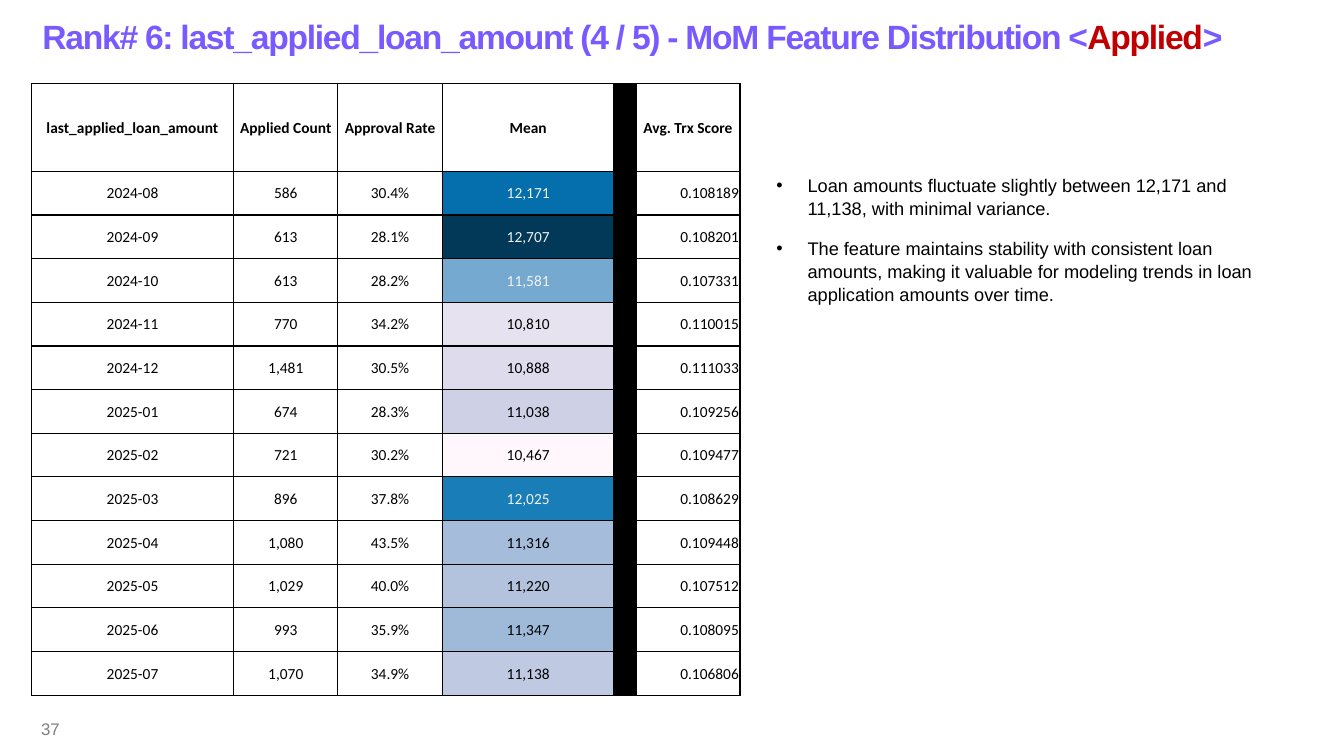
from lxml import etree
from pptx import Presentation
from pptx import util as u
from pptx.dml.color import RGBColor
from pptx.enum import text
from pptx.oxml.ns import qn

COLORS = {"purple": "785AFF", "red": "C00000", "black": "000000",
          "white": "FFFFFF", "pale": "F1F1F1", "grey": "808080"}
TITLE = [("Rank# 6: last_applied_loan_amount (4 / 5) - MoM Feature Distribution <", "purple"),
         ("Applied", "red"), (">", "purple")]
BULLETS = [
    "Loan amounts fluctuate slightly between 12,171 and 11,138, with minimal variance.",
    "The feature maintains stability with consistent loan amounts, making it valuable "
    "for modeling trends in loan application amounts over time.",
]
PAGE = "37"
HEADER = ("last_applied_loan_amount", "Applied Count", "Approval Rate", "Mean", "", "Avg. Trx Score")
MONTHS = [
    ("2024-08", "586", "30.4%", "12,171", "", "0.108189"),
    ("2024-09", "613", "28.1%", "12,707", "", "0.108201"),
    ("2024-10", "613", "28.2%", "11,581", "", "0.107331"),
    ("2024-11", "770", "34.2%", "10,810", "", "0.110015"),
    ("2024-12", "1,481", "30.5%", "10,888", "", "0.111033"),
    ("2025-01", "674", "28.3%", "11,038", "", "0.109256"),
    ("2025-02", "721", "30.2%", "10,467", "", "0.109477"),
    ("2025-03", "896", "37.8%", "12,025", "", "0.108629"),
    ("2025-04", "1,080", "43.5%", "11,316", "", "0.109448"),
    ("2025-05", "1,029", "40.0%", "11,220", "", "0.107512"),
    ("2025-06", "993", "35.9%", "11,347", "", "0.108095"),
    ("2025-07", "1,070", "34.9%", "11,138", "", "0.106806"),
]
HEAT = ["056EAD", "023858", "75A9CF", "E6E2EF", "DEDCEC", "CED0E6",
        "FFF7FB", "197DB7", "A5BDDB", "B3C3DE", "9FBAD9", "C0C9E2"]
PALE_ROWS = {1, 2, 3, 8}
COL_WIDTHS = (2.01, 1.03, 1.04, 1.7, 0.22, 1.03)
HEADER_H, TABLE_H = 0.87, 6.07
MEAN, DIVIDER, SCORE = 3, 4, 5


def place(sp, left, top, width, height):
    sp.left, sp.top, sp.width, sp.height = map(u.Inches, (left, top, width, height))


def style(r, size, color, font="Arial", bold=False):
    r.font.size, r.font.name, r.font.bold = u.Pt(size), font, bold
    r.font.color.rgb = RGBColor.from_string(COLORS[color])


def add_borders(cell):
    tcPr = cell._tc.get_or_add_tcPr()
    for i, side in enumerate(("lnL", "lnR", "lnT", "lnB")):
        ln = etree.Element(qn("a:" + side), w=str(u.Pt(1)))
        fill = etree.SubElement(ln, qn("a:solidFill"))
        etree.SubElement(fill, qn("a:srgbClr"), val=COLORS["black"])
        tcPr.insert(i, ln)


def fill_cell(cell, value, row, col):
    fill, color = COLORS["white"], "black"
    if col == DIVIDER:
        fill = COLORS["black"]
    elif col == MEAN and row:
        fill = HEAT[row - 1]
        color = "pale" if row in PALE_ROWS else "black"
    cell.fill.solid()
    cell.fill.fore_color.rgb = RGBColor.from_string(fill)
    add_borders(cell)
    cell.margin_left = cell.margin_right = cell.margin_top = u.Inches(0.01)
    cell.margin_bottom = 0
    cell.vertical_anchor = text.MSO_ANCHOR.MIDDLE
    if value:
        p = cell.text_frame.paragraphs[0]
        p.text = value
        p.alignment = text.PP_ALIGN.RIGHT if col == SCORE and row else text.PP_ALIGN.CENTER
        style(p.runs[0], 11, color, "Calibri", row == 0)


def add_title(s):
    sp = s.shapes.title
    place(sp, 0.32, 0, 12.92, 0.72)
    tf = sp.text_frame
    tf.auto_size = text.MSO_AUTO_SIZE.NONE
    tf.vertical_anchor = text.MSO_ANCHOR.MIDDLE
    p = tf.paragraphs[0]
    p.alignment = text.PP_ALIGN.LEFT
    for words, color in TITLE:
        r = p.add_run()
        r.text = words
        style(r, 24, color, bold=True)
        r.font._element.set("spc", "-90")


def add_bullets(s):
    sp = s.placeholders[1]
    place(sp, 7.6, 1.67, 5.17, 1.36)
    tf = sp.text_frame
    tf.text = "\n".join(BULLETS)
    tf.auto_size = text.MSO_AUTO_SIZE.SHAPE_TO_FIT_TEXT
    for p in tf.paragraphs:
        p.space_before, p.space_after, p.line_spacing = u.Pt(0), u.Pt(12), 1.05
        pPr = p._p.get_or_add_pPr()
        pPr.set("marL", str(u.Inches(0.31)))
        pPr.set("indent", str(u.Inches(-0.31)))
        etree.SubElement(pPr, qn("a:buFont"), typeface="Arial")
        etree.SubElement(pPr, qn("a:buChar"), char="•")
        style(p.runs[0], 13, "black")


def add_page_number(s):
    sp = s.shapes.add_textbox(*map(u.Inches, (0.31, 7.03, 3, 0.4)))
    tf = sp.text_frame
    tf.word_wrap = True
    tf.vertical_anchor = text.MSO_ANCHOR.MIDDLE
    p = tf.paragraphs[0]
    p.text = PAGE
    p.space_after = u.Pt(6)
    style(p.runs[0], 12, "grey")


def add_month_table(s):
    rows = [HEADER] + MONTHS
    table = s.shapes.add_table(len(rows), len(HEADER), *map(
        u.Inches, (0.31, 0.83, sum(COL_WIDTHS), TABLE_H))).table
    table.horz_banding = table.first_row = False
    for column, width in zip(table.columns, COL_WIDTHS):
        column.width = u.Inches(width)
    for i, row in enumerate(rows):
        table.rows[i].height = u.Inches((TABLE_H - HEADER_H) / len(MONTHS) if i else HEADER_H)
        for j, value in enumerate(row):
            fill_cell(table.cell(i, j), value, i, j)


def main():
    prs = Presentation()
    prs.slide_width, prs.slide_height = u.Inches(13.33), u.Inches(7.5)
    s = prs.slides.add_slide(prs.slide_layouts[1])
    add_title(s)
    add_page_number(s)
    add_bullets(s)
    add_month_table(s)
    prs.save("out.pptx")


if __name__ == "__main__":
    main()
